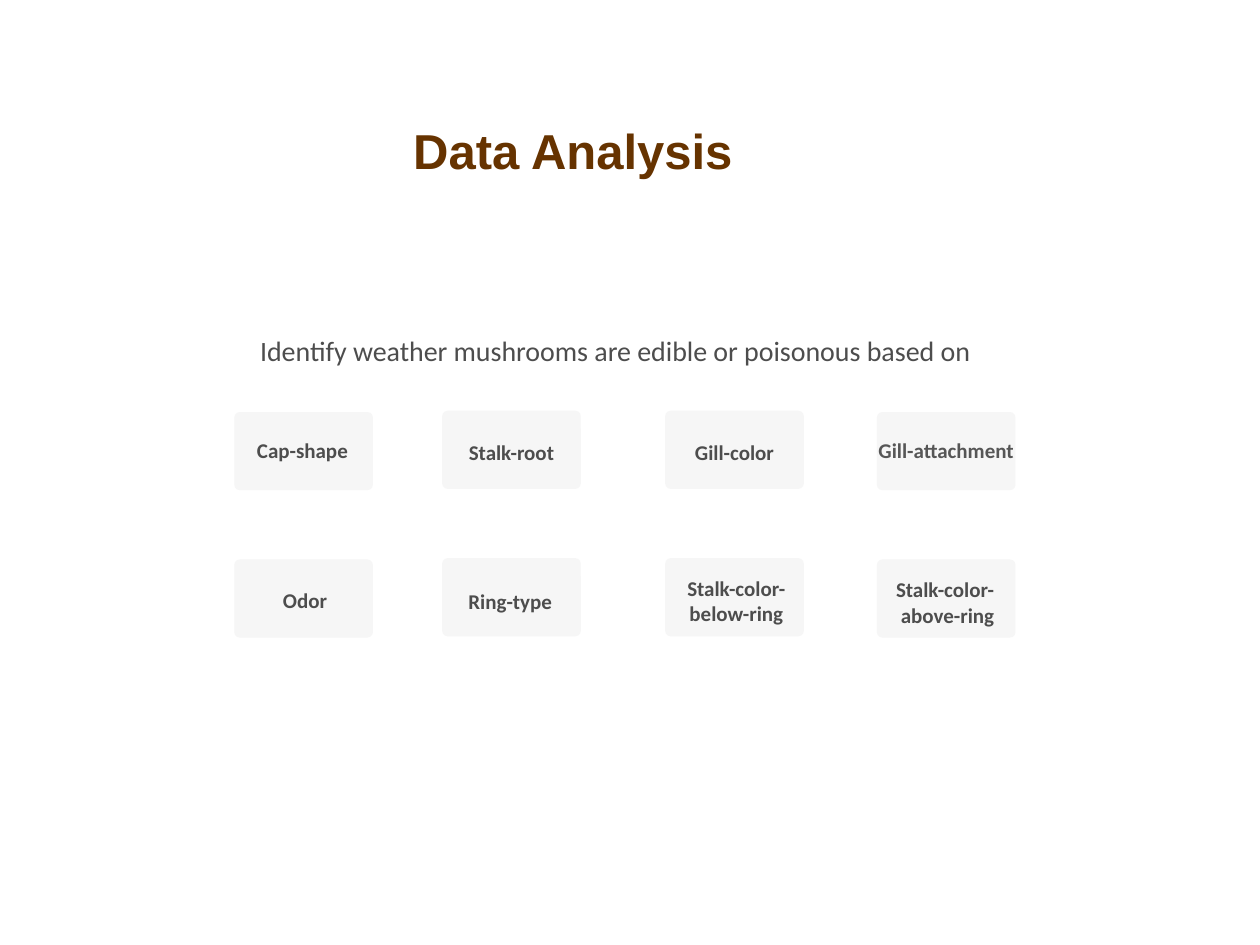
from lxml import etree
from pptx import Presentation
from pptx import util as u
from pptx.dml.color import RGBColor
from pptx.enum import shapes, text
from pptx.oxml.ns import qn

COLUMNS, ROWS = 100, 75
CARD_COLUMNS = (18.6, 35.1, 52.8, 69.6)
CARD_ROWS = ((32.7, 32.6, 32.6, 32.7), (44.4, 44.3, 44.3, 44.4))
CARD_SIZE = (11, 6.2)
TIGHT, PADDED = (0, 0), (0.1, 0.05)
LABELS = (
    (["Cap-shape"], (19.1, 34.7, 10.1, 2), TIGHT, {"tail": " "}),
    (["Stalk-root"], (34.3, 34.4, 12.6, 3), PADDED, {}),
    (["Gill-color"], (52, 34.4, 12.6, 3), PADDED, {}),
    (["Gill-attachment"], (69.6, 34.7, 11, 2), TIGHT, {"color": "565656"}),
    (["Odor"], (19.3, 46.6, 10.1, 2), TIGHT, {"tail": " "}),
    (["Ring-type"], (35, 46.2, 11, 3), PADDED, {}),
    (["Stalk-color-", "below-ring"], (49.3, 45.2, 18.3, 5), PADDED, {}),
    (["Stalk-color- ", "above-ring"], (65.3, 45.3, 19.8, 5), PADDED, {}),
)


def rgb(value):
    return RGBColor.from_string(value)


class Deck:
    """Holds the style and the current slide, measured in grid columns and rows."""

    def __init__(self):
        self.presentation = Presentation()
        self.presentation.slide_width = u.Inches(10)
        self.presentation.slide_height = u.Inches(7.5)
        self.slide = self.presentation.slides.add_slide(self.presentation.slide_layouts[5])
        self.ink, self.accent, self.card_fill = "4D4D4D", "663300", "F1F1F1"

    def place(self, left, top, width, height):
        column = self.presentation.slide_width / COLUMNS
        row = self.presentation.slide_height / ROWS
        return [int(n) for n in (left * column, top * row, width * column, height * row)]

    def set_text(self, shape, lines, inset, size, color, font="Calibri", bold=False,
                 spacing=None, tail=None):
        frame = shape.text_frame
        across, down = (u.Inches(n) for n in inset)
        layout = {"word_wrap": True, "auto_size": text.MSO_AUTO_SIZE.SHAPE_TO_FIT_TEXT,
                  "vertical_anchor": text.MSO_ANCHOR.TOP,
                  "margin_left": across, "margin_right": across,
                  "margin_top": down, "margin_bottom": down}
        for name, value in layout.items():
            setattr(frame, name, value)
        for index, line in enumerate(lines):
            paragraph = frame.add_paragraph() if index else frame.paragraphs[0]
            paragraph.alignment = text.PP_ALIGN.CENTER
            if spacing:
                paragraph.line_spacing = u.Pt(spacing)
            pieces = [(line, size)] + ([(tail, 9)] if tail else [])
            for piece, points in pieces:
                run = paragraph.add_run()
                run.text = piece
                style = {"name": font, "size": u.Pt(points), "bold": bold}
                for name, value in style.items():
                    setattr(run.font, name, value)
                run.font.color.rgb = rgb(color)

    def title(self, words, box):
        shape = self.slide.shapes.title
        for name, value in zip(("left", "top", "width", "height"), self.place(*box)):
            setattr(shape, name, value)
        self.set_text(shape, [words], TIGHT, 28, self.accent, "Arial", True, 31.8)

    def textbox(self, lines, box, inset, **style):
        shape = self.slide.shapes.add_textbox(*self.place(*box))
        self.set_text(shape, lines, inset, **{"color": self.ink, **style})

    def card(self, left, top):
        kind = shapes.MSO_SHAPE.ROUNDED_RECTANGLE
        shape = self.slide.shapes.add_shape(kind, *self.place(left, top, *CARD_SIZE))
        shape.adjustments[0] = 0.07
        shape.shadow.inherit = False
        shape.line.fill.background()
        shape.fill.solid()
        shape.fill.fore_color.rgb = rgb(self.card_fill)
        color = shape.element.spPr.find(qn("a:solidFill")).find(qn("a:srgbClr"))
        etree.SubElement(color, qn("a:alpha"), val="64000")


def main():
    deck = Deck()
    deck.title("Data Analysis ", (32.7, 9.8, 26.6, 4.5))
    for tops in CARD_ROWS:
        for left, top in zip(CARD_COLUMNS, tops):
            deck.card(left, top)
    deck.textbox(["Identify weather mushrooms are edible or poisonous based on"],
                 (20.3, 24.6, 57.1, 4), TIGHT, size=16, spacing=32.9)
    for lines, box, inset, style in LABELS:
        deck.textbox(lines, box, inset, size=12, bold=True, **style)
    deck.presentation.save("out.pptx")


if __name__ == "__main__":
    main()
